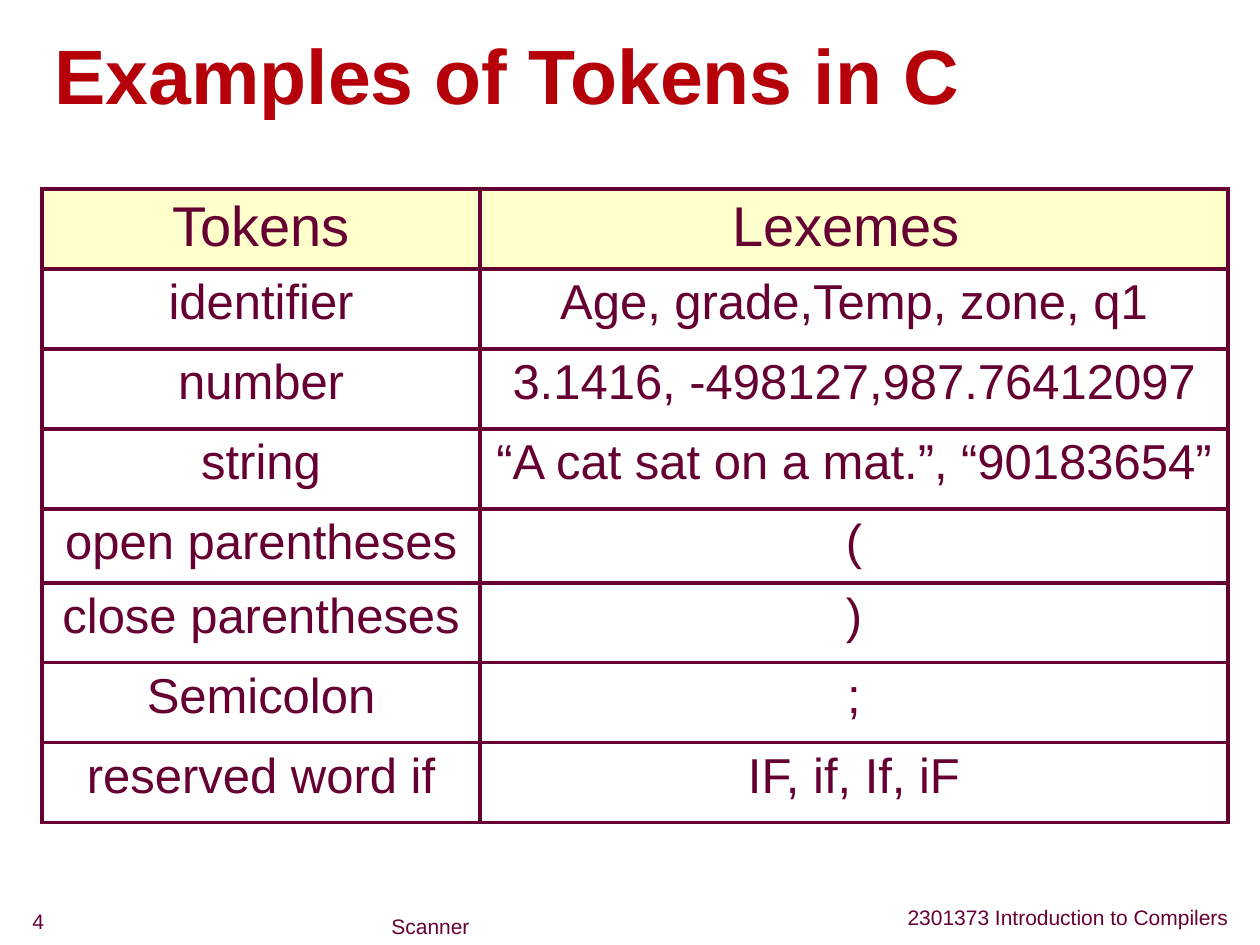
from typing import NamedTuple

from lxml.etree import SubElement as Sub
from pptx import Presentation
from pptx.dml.color import RGBColor
from pptx.enum.text import MSO_ANCHOR as Anchor, PP_ALIGN as Align
from pptx.oxml.ns import qn
from pptx.util import Pt

SCALE = 914400 / 126  # EMU in one px
PLUM, RED, CREAM = "660033", "B60009", "FFFF99"


class Label(NamedTuple):
    text: str
    box: tuple[int, int, int, int]
    size: int = 12
    color: str = PLUM
    bold: bool = False
    align: Align = Align.LEFT


class Row(NamedTuple):
    token: str
    lexeme: str
    high: int = 80
    size: int = 28
    gap: int = 7
    head: bool = False


LABELS = [
    Label("Examples of Tokens in C", (42, 20, 1190, 106), 44, RED, True),
    Label("2301373 Introduction to Compilers", (620, 892, 621, 44),
          align=Align.RIGHT),
    Label("4", (20, 914, 210, 26)),
    Label("Scanner", (252, 914, 357, 31), align=Align.CENTER),
]

ROWS = [
    Row("Tokens", "Lexemes ", size=32, gap=8, head=True),
    Row("identifier", "Age, grade,Temp, zone, q1"),
    Row("number", "3.1416, -498127,987.76412097"),
    Row("string", "“A cat sat on a mat.”, “90183654”"),
    Row("open parentheses", "(", high=74),
    Row("close parentheses", ")"),
    Row("Semicolon", ";"),
    Row("reserved word if", "IF, if, If, iF"),
]
COLS = (438, 748)


def px(n: int) -> int:
    return round(n * SCALE)


def rgb(code: str) -> RGBColor:
    return RGBColor.from_string(code)


def style(para, size: int, color: str, align: Align, bold: bool = False) -> None:
    para.alignment = align
    for run in para.runs:
        font = run.font
        font.name, font.size, font.bold = "Arial", Pt(size), bold
        font.color.rgb = rgb(color)


def write(slide, label: Label) -> None:
    frame = slide.shapes.add_textbox(*map(px, label.box)).text_frame
    frame.word_wrap = True
    frame.vertical_anchor = Anchor.BOTTOM
    frame.text = label.text
    style(frame.paragraphs[0], label.size, label.color, label.align, label.bold)


def border(cell, color: str, width: float) -> None:
    props = cell._tc.get_or_add_tcPr()
    for side in ("lnL", "lnR", "lnT", "lnB"):
        line = Sub(props, qn(f"a:{side}"), w=str(Pt(width)))
        fill = Sub(line, qn("a:solidFill"))
        Sub(fill, qn("a:srgbClr"), val=color)


def paint(cell, row: Row) -> None:
    if not row.head:
        cell.fill.background()
        return
    cell.fill.solid()
    cell.fill.fore_color.rgb = rgb(CREAM)
    tint = cell._tc.tcPr.find(f"{qn('a:solidFill')}/{qn('a:srgbClr')}")
    Sub(tint, qn("a:alpha"), val="50000")


def grid(slide, left: int, top: int, cols: tuple[int, ...], rows: list[Row]) -> None:
    high = sum(row.high for row in rows)
    table = slide.shapes.add_table(
        len(rows), len(cols), px(left), px(top), px(sum(cols)), px(high)).table
    table.first_row = table.horz_banding = False
    for col, wide in zip(table.columns, cols):
        col.width = px(wide)
    for r, row in enumerate(rows):
        table.rows[r].height = px(row.high)
        for c, text in enumerate((row.token, row.lexeme)):
            cell = table.cell(r, c)
            cell.text_frame.text = text
            para = cell.text_frame.paragraphs[0]
            para.space_before = Pt(row.gap)
            style(para, row.size, PLUM, Align.CENTER)
            border(cell, PLUM, 2.21)
            paint(cell, row)


def main() -> None:
    deck = Presentation()
    deck.slide_width, deck.slide_height = px(1260), px(945)
    slide = deck.slides.add_slide(deck.slide_layouts[6])

    # Title, then table, then footer
    title, *foot = LABELS
    write(slide, title)
    grid(slide, 42, 189, COLS, ROWS)
    for label in foot:
        write(slide, label)

    deck.save("out.pptx")


if __name__ == "__main__":
    main()
